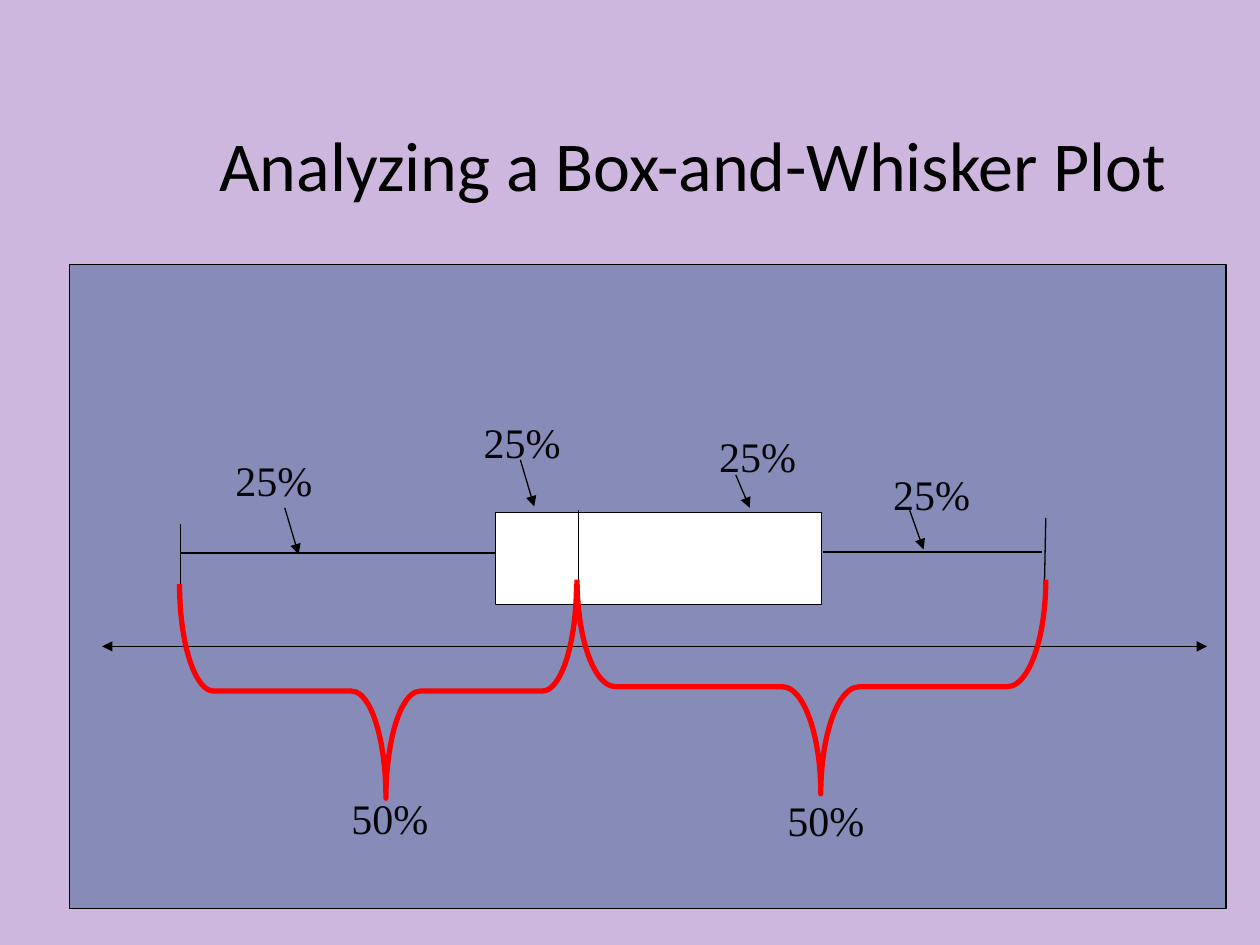
import pptx
import pptx.util
import pptx.dml.color
import pptx.enum.shapes
import pptx.enum.text
import pptx.oxml
import pptx.oxml.ns
from dataclasses import dataclass


@dataclass(frozen=True)
class Theme:
    back: str = "CDB7DE"
    panel: str = "1F497D"
    ink: str = "000000"
    label: str = "06060A"
    box: str = "FFFFFF"
    brace: str = "FF0000"
    head_font: str = "Calibri"
    body_font: str = "Times New Roman"
    head_size: int = 40
    body_size: int = 24
    thin: float = 0.75
    thick: float = 3


THEME = Theme()
COLS, ROWS = 100, 75
CELL = pptx.util.Inches(10) // COLS
KIND = pptx.enum.shapes.MSO_SHAPE
ALIGN = pptx.enum.text.PP_ALIGN
ANCHOR = pptx.enum.text.MSO_ANCHOR


def grid(*cells):
    return [round(cell * CELL) for cell in cells]


def color(code):
    return pptx.dml.color.RGBColor.from_string(code)


def child(parent, tag, **attrs):
    """Append an empty drawing element with the given attributes."""
    node = pptx.oxml.parse_xml(f"<a:{tag} {pptx.oxml.ns.nsdecls('a')}/>")
    for name, value in attrs.items():
        node.set(name, str(value))
    parent.append(node)


def write(shape, text, font=THEME.body_font, size=THEME.body_size,
          tint=THEME.label, align=ALIGN.LEFT, anchor=ANCHOR.TOP):
    frame = shape.text_frame
    frame.word_wrap = True
    frame.vertical_anchor = anchor
    para = frame.paragraphs[0]
    para.text = text
    para.alignment = align
    para.font.name = font
    para.font.size = pptx.util.Pt(size)
    para.font.color.rgb = color(tint)


def stroke(shape, tint=THEME.ink, width=THEME.thin):
    shape.line.color.rgb = color(tint)
    shape.line.width = pptx.util.Pt(width)


def add_rect(shapes, left, top, width, height, fill, alpha=100):
    rect = shapes.add_shape(KIND.RECTANGLE, *grid(left, top, width, height))
    rect.shadow.inherit = False
    rect.fill.solid()
    rect.fill.fore_color.rgb = color(fill)
    if alpha < 100:
        tint = rect.fill._xPr.find(".//" + pptx.oxml.ns.qn("a:srgbClr"))
        child(tint, "alpha", val=alpha * 1000)
    stroke(rect)


def add_line(shapes, x1, y1, x2, y2, ends=()):
    """Draw a line; ends lists its arrowheads, headEnd before tailEnd."""
    line = shapes.add_connector(
        pptx.enum.shapes.MSO_CONNECTOR.STRAIGHT, *grid(x1, y1, x2, y2))
    stroke(line)
    for end in ends:
        child(line.line._get_or_add_ln(), end, type="triangle")
    child(line._element.spPr, "effectLst")


def add_brace(shapes, left, right, top, depth, curl):
    """Draw a brace that spans left to right and points down."""
    span = right - left
    x = (left + right - depth) / 2
    y = top + (depth - span) / 2
    brace = shapes.add_shape(KIND.LEFT_BRACE, *grid(x, y, depth, span))
    brace.rotation = 270
    brace.adjustments[0] = curl
    brace.adjustments[1] = 0.52
    brace.shadow.inherit = False
    brace.fill.background()
    stroke(brace, THEME.brace, THEME.thick)


def add_label(shapes, text, left, top):
    write(shapes.add_textbox(*grid(left, top, 10.6, 5)), text)


def add_title(slide, text):
    title = slide.shapes.title
    title.left, title.top, title.width, title.height = grid(12.5, 6.7, 85, 12.5)
    write(title, text, font=THEME.head_font, size=THEME.head_size,
          tint=THEME.ink, align=ALIGN.CENTER, anchor=ANCHOR.MIDDLE)


def add_plot(slide):
    plot = slide.shapes.add_group_shape().shapes
    add_line(plot, 8.1, 51.3, 95.8, 51.3, ends=("headEnd", "tailEnd"))
    add_rect(plot, 39.3, 40.7, 25.9, 7.3, THEME.box)
    median = (45.9, 48, 45.9, 40.5)
    whiskers = [(39.3, 43.9, 14.4, 43.9), (65.3, 43.8, 82.7, 43.8)]
    fences = [(14.3, 46.5, 14.3, 41.6), (82.9, 46.2, 83, 41.1)]
    for ends in [median, *whiskers, *fences]:
        add_line(plot, *ends)


def main():
    deck = pptx.Presentation()
    deck.slide_width, deck.slide_height = grid(COLS, ROWS)
    slide = deck.slides.add_slide(deck.slide_layouts[5])
    slide.background.fill.solid()
    slide.background.fill.fore_color.rgb = color(THEME.back)
    shapes = slide.shapes

    add_title(slide, "Analyzing a Box-and-Whisker Plot")
    add_rect(shapes, 5.5, 21, 91.8, 51.1, THEME.panel, alpha=40)
    add_plot(slide)

    for left, top in [(37.4, 32.6), (17.7, 35.6), (69.9, 36.7), (56.1, 33.7)]:
        add_label(shapes, "25%", left, top)
    add_brace(shapes, 45.8, 83, 46, 17, curl=0.18)
    add_brace(shapes, 14.25, 45.75, 46.35, 17, curl=0.16)
    for left, top in [(61.5, 62.6), (26.9, 62.4)]:
        add_label(shapes, "50%", left, top)
    for x, y, drop in [(22.6, 40.3, 3.7), (72.2, 40.5, 3.1),
                       (58.4, 37.7, 2.6), (41.3, 36.5, 3.7)]:
        add_line(shapes, x, y, x + 1.1, y + drop, ends=("tailEnd",))

    deck.save("out.pptx")


if __name__ == "__main__":
    main()
